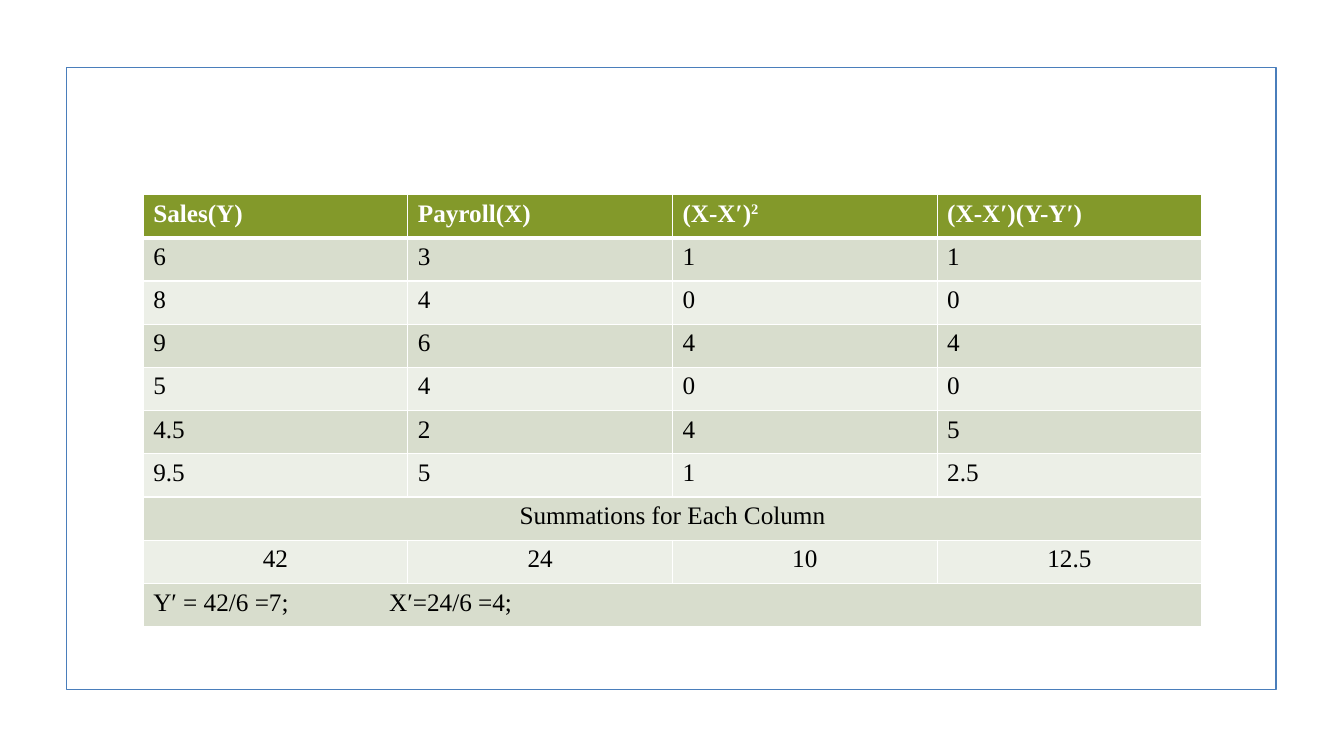
from lxml.etree import SubElement
from pptx import Presentation
from pptx.dml.color import RGBColor
from pptx.enum.shapes import MSO_SHAPE
from pptx.enum.text import PP_ALIGN
from pptx.oxml.ns import qn
from pptx.util import Inches, Pt

HEADER = ["Sales(Y)", "Payroll(X)", "(X-X′)²", "(X-X′)(Y-Y′)"]
OBSERVATIONS = [
    ["6", "3", "1", "1"],
    ["8", "4", "0", "0"],
    ["9", "6", "4", "4"],
    ["5", "4", "0", "0"],
    ["4.5", "2", "4", "5"],
    ["9.5", "5", "1", "2.5"],
]
SUMMATION_TITLE = ["Summations for Each Column"]
SUMMATIONS = ["42", "24", "10", "12.5"]
MEANS = ["Y′ = 42/6 =7;\tX′=24/6 =4;"]
ROWS = [HEADER, *OBSERVATIONS, SUMMATION_TITLE, SUMMATIONS, MEANS]
CENTRED = (SUMMATION_TITLE, SUMMATIONS)

COLORS = {"frame": "4A7EBB", "header": "83992A", "odd": "D8DDCD",
          "even": "ECEFE7", "white": "FFFFFF", "black": "000000"}
FONT, FONT_SIZE = "Times New Roman", Pt(18)
SLIDE_W, SLIDE_H = Inches(13.33), Inches(7.5)
FRAME = [Inches(n) for n in (0.66, 0.67, 12, 6.17)]
TABLE_LEFT, TABLE_TOP = Inches(1.42), Inches(1.93)
TABLE_W, TABLE_H = Inches(10.5), Inches(4.29)
MEAN_TAB = Inches(2.34)
THIN, THICK = Pt(0.96), Pt(3)


def rgb(name):
    return RGBColor.from_string(COLORS[name])


def set_borders(cell, top, bottom):
    """Draw white cell borders; must run before the cell gets its fill."""
    properties = cell._tc.get_or_add_tcPr()
    for side, width in (("L", THIN), ("R", THIN), ("T", top), ("B", bottom)):
        border = SubElement(properties, qn(f"a:ln{side}"), w=str(int(width)))
        fill = SubElement(border, qn("a:solidFill"))
        SubElement(fill, qn("a:srgbClr"), val=COLORS["white"])


def add_run(paragraph, text, is_header, superscript=False):
    run = paragraph.add_run()
    run.text = text
    run.font.name, run.font.size = FONT, FONT_SIZE
    run.font.bold = is_header
    run.font.color.rgb = rgb("white" if is_header else "black")
    if superscript:
        run._r.get_or_add_rPr().set("baseline", "30000")


def write_cell(cell, text, is_header, centred):
    paragraph = cell.text_frame.paragraphs[0]
    paragraph.alignment = PP_ALIGN.CENTER if centred else PP_ALIGN.LEFT
    base = text.removesuffix("²")
    add_run(paragraph, base, is_header)
    if base != text:
        add_run(paragraph, "2", is_header, superscript=True)
    if "\t" in text:
        tabs = SubElement(paragraph._p.get_or_add_pPr(), qn("a:tabLst"))
        SubElement(tabs, qn("a:tab"), pos=str(int(MEAN_TAB)), algn="l")


def add_frame(slide):
    frame = slide.shapes.add_shape(MSO_SHAPE.RECTANGLE, *FRAME)
    frame.shadow.inherit = False
    frame.fill.background()
    frame.line.color.rgb = rgb("frame")
    frame.line.width = Pt(1.25)


def add_regression_table(slide):
    table = slide.shapes.add_table(len(ROWS), len(HEADER), TABLE_LEFT, TABLE_TOP,
                                   TABLE_W, TABLE_H).table
    for r, values in enumerate(ROWS):
        is_header = r == 0
        band = "header" if is_header else "odd" if r % 2 else "even"
        for cell in table.rows[r].cells:
            set_borders(cell, THICK if r == 1 else THIN, THICK if is_header else THIN)
            cell.fill.solid()
            cell.fill.fore_color.rgb = rgb(band)
        if len(values) == 1:
            table.cell(r, 0).merge(table.cell(r, len(HEADER) - 1))
        for c, value in enumerate(values):
            write_cell(table.cell(r, c), value, is_header, values in CENTRED)


def main():
    presentation = Presentation()
    presentation.slide_width, presentation.slide_height = SLIDE_W, SLIDE_H
    slide = presentation.slides.add_slide(presentation.slide_layouts[6])
    add_frame(slide)
    add_regression_table(slide)
    presentation.save("out.pptx")


if __name__ == "__main__":
    main()
